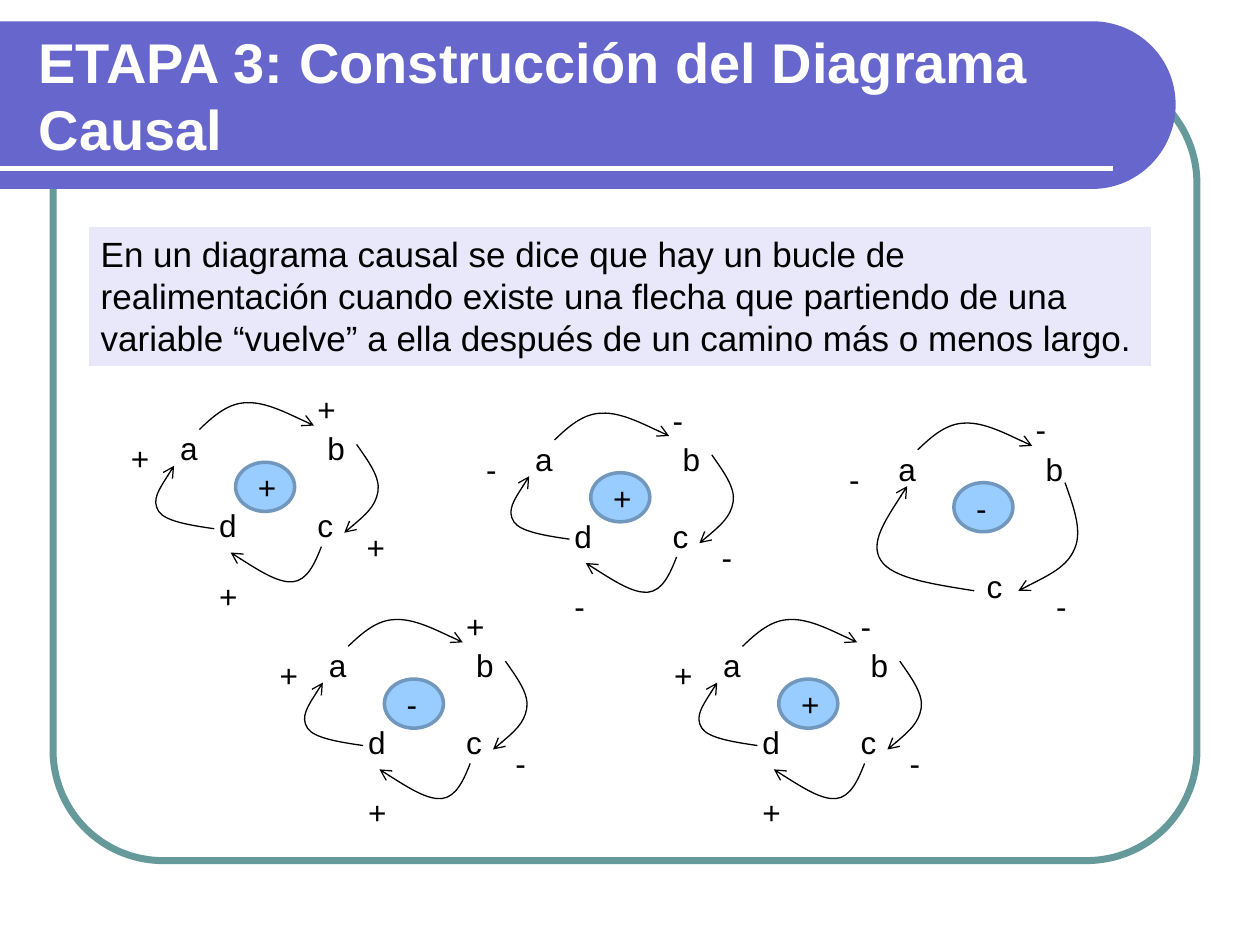
"""Build a slide on feedback loops in causal diagrams."""
from lxml import etree
from pptx import Presentation
from pptx import util as u
from pptx.dml.color import RGBColor
from pptx.enum import shapes as s, text as t
from pptx.oxml import ns

BLACK = RGBColor(0, 0, 0)
WHITE = RGBColor(255, 255, 255)
TEAL = RGBColor(0x66, 0x99, 0x99)
VIOLET = RGBColor(0x66, 0x66, 0xCC)
LILAC = RGBColor(0xE8, 0xE8, 0xFA)
SKY = RGBColor(0x99, 0xCC, 0xFF)
STEEL = RGBColor(0x71, 0x97, 0xBD)

TITLE = "ETAPA 3: Construcción del Diagrama Causal"
BODY = ("En un diagrama causal se dice que hay un bucle de realimentación "
        "cuando existe una flecha que partiendo de una variable “vuelve” a "
        "ella después de un camino más o menos largo.")

TOP = [(0.64, 0.13), (0.91, -0.13), (1.22, -0.41), (1.6, -0.41),
       (1.98, -0.43), (2.95, 0.05), (2.95, 0.05)]
FOUR = {
    "nodes": [("a", 0, 0, 1), ("b", 2.97, 0, 1.75),
              ("c", 2.77, 1.55, 1), ("d", 0.79, 1.55, 1)],
    "signs": [(1.57, 0.79), (2.77, -0.79), (3.76, 1.98),
              (0.79, 2.97), (-0.99, 0.2)],
    "arcs": [
        TOP,
        [(3.81, 0.43), (4.04, 0.76), (4.29, 1.09), (4.24, 1.38),
         (4.19, 1.68), (3.89, 1.94), (3.56, 2.21)],
        [(3.1, 2.49), (2.97, 2.82), (2.82, 3.17), (2.52, 3.2),
         (2.23, 3.22), (1.75, 2.92), (1.27, 2.61)],
        [(0.94, 2.13), (0.46, 2.06), (-0.05, 1.98), (-0.18, 1.78),
         (-0.33, 1.55), (-0.1, 1.22), (0.13, 0.86)],
    ],
}
THREE = {
    "nodes": [("a", 0, 0, 1), ("b", 2.97, 0, 1.75), ("c", 1.78, 2.36, 1)],
    "signs": [(1.57, 0.79), (2.77, -0.79), (3.18, 2.77), (-0.99, 0.2)],
    "arcs": [
        TOP,
        [(3.61, 0.79), (3.78, 1.27), (3.96, 1.75), (3.81, 2.11),
         (3.66, 2.49), (3.15, 2.72), (2.67, 2.97)],
        [(1.78, 2.97), (0.97, 2.84), (0.13, 2.72), (-0.1, 2.36),
         (-0.33, 2.01), (0.05, 1.45), (0.43, 0.86)],
    ],
}
LOOPS = [
    (3.38, 8.53, FOUR, "+++++"),
    (10.54, 8.74, FOUR, "+----"),
    (17.86, 8.94, THREE, "----"),
    (6.38, 12.9, FOUR, "-+-++"),
    (14.33, 12.9, FOUR, "+--++"),
]
BAR = [(0, 0.43), (0, 0.43), (22.02, 0.43), (22.02, 0.43),
       (22.94, 0.43), (23.7, 1.17), (23.7, 2.11),
       (23.7, 3.05), (22.94, 3.81), (22.02, 3.81),
       (22.02, 3.81), (0, 3.81), (0, 3.81),
       (0, 3.81), (0, 0.43), (0, 0.43)]


def paint(item, fill=None, line=None, width=0.75):
    """Set fill and line, and drop the shadow."""
    item.shadow.inherit = False
    if fill is None:
        item.fill.background()
    else:
        item.fill.solid()
        item.fill.fore_color.rgb = fill
    if line is None:
        item.line.fill.background()
    else:
        item.line.color.rgb = line
        item.line.width = u.Pt(width)


def shape(pool, kind, box, **look):
    """Add a painted preset shape."""
    item = pool.add_shape(kind, *map(u.Cm, box))
    paint(item, **look)
    return item


def write(item, words, size, color=BLACK, bold=False):
    """Write one left-aligned run."""
    frame = item.text_frame
    frame.word_wrap = True
    frame.vertical_anchor = t.MSO_ANCHOR.TOP
    para = frame.paragraphs[0]
    para.alignment = t.PP_ALIGN.LEFT
    run = para.add_run()
    run.text = words
    run.font.name = "Arial"
    run.font.size = u.Pt(size)
    run.font.bold = bold
    run.font.color.rgb = color


def label(pool, words, x, y, wide, high=1.02, size=18, **look):
    """Add a text box."""
    item = pool.add_textbox(*map(u.Cm, (x, y, wide, high)))
    write(item, words, size, **look)
    return item


def curve(pool, dots, close=False):
    """Add a freeform made of cubic curves."""
    dots = [(u.Cm(x), u.Cm(y)) for x, y in dots]
    pen = pool.build_freeform(*dots[0])
    pen.add_line_segments(dots[1:], close=close)
    item = pen.convert_to_shape()
    steps = item.element.xpath(".//a:lnTo")
    for first, *rest in zip(steps[::3], steps[1::3], steps[2::3]):
        first.tag = ns.qn("a:cubicBezTo")
        for step in rest:
            first.append(step[0])
            step.getparent().remove(step)
    return item


def arrow(pool, dots):
    """Add a curved arrow."""
    item = curve(pool, dots)
    paint(item, line=BLACK)
    line = item.line._get_or_add_ln()
    etree.SubElement(line, ns.qn("a:tailEnd"), type="arrow")


def loop(pool, left, top, plan, signs):
    """Add one causal loop as a group."""
    group = pool.add_group_shape().shapes
    for dots in plan["arcs"]:
        arrow(group, [(left + x, top + y) for x, y in dots])
    for name, x, y, wide in plan["nodes"]:
        label(group, name, left + x, top + y, wide)
    shape(group, s.MSO_SHAPE.OVAL, (left + 1.37, top + 0.79, 1.19, 0.99),
          fill=SKY, line=STEEL, width=2)
    for sign, (x, y) in zip(signs, plan["signs"]):
        label(group, sign, left + x, top + y, 0.79)


def main():
    """Build and save the slide."""
    deck = Presentation()
    deck.slide_width, deck.slide_height = u.Cm(25.4), u.Cm(19.05)
    pool = deck.slides.add_slide(deck.slide_layouts[6]).shapes

    frame = shape(pool, s.MSO_SHAPE.ROUNDED_RECTANGLE,
                  (1.07, 1.47, 23.06, 15.88), line=TEAL, width=4)
    frame.adjustments[0] = 0.14
    paint(curve(pool, BAR, close=True), fill=VIOLET)
    rule = pool.add_connector(s.MSO_CONNECTOR.STRAIGHT,
                              *map(u.Cm, (0, 3.39, 22.43, 3.39)))
    rule.line.color.rgb = WHITE
    rule.line.width = u.Pt(3)
    etree.SubElement(rule.element.spPr, ns.qn("a:effectLst"))

    note = shape(pool, s.MSO_SHAPE.RECTANGLE, (1.78, 4.57, 21.44, 2.82),
                 fill=LILAC, line=WHITE)
    write(note, BODY, 20)
    for item in LOOPS:
        loop(pool, *item)
    title = label(pool, TITLE, 0.53, 0.64, 22.28, 2.54, 32,
                  color=WHITE, bold=True)
    title.text_frame.vertical_anchor = t.MSO_ANCHOR.MIDDLE
    deck.save("out.pptx")


if __name__ == "__main__":
    main()
